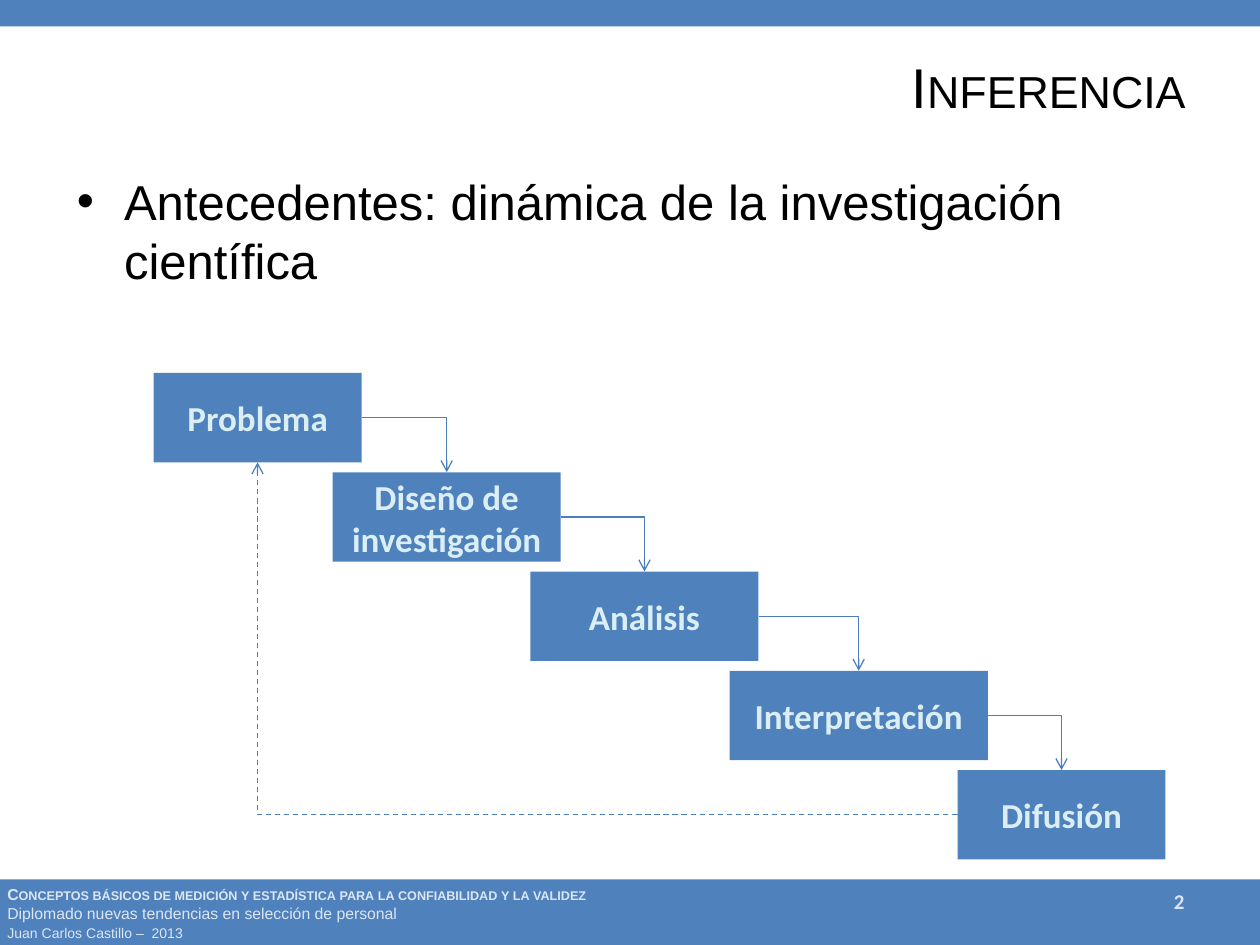
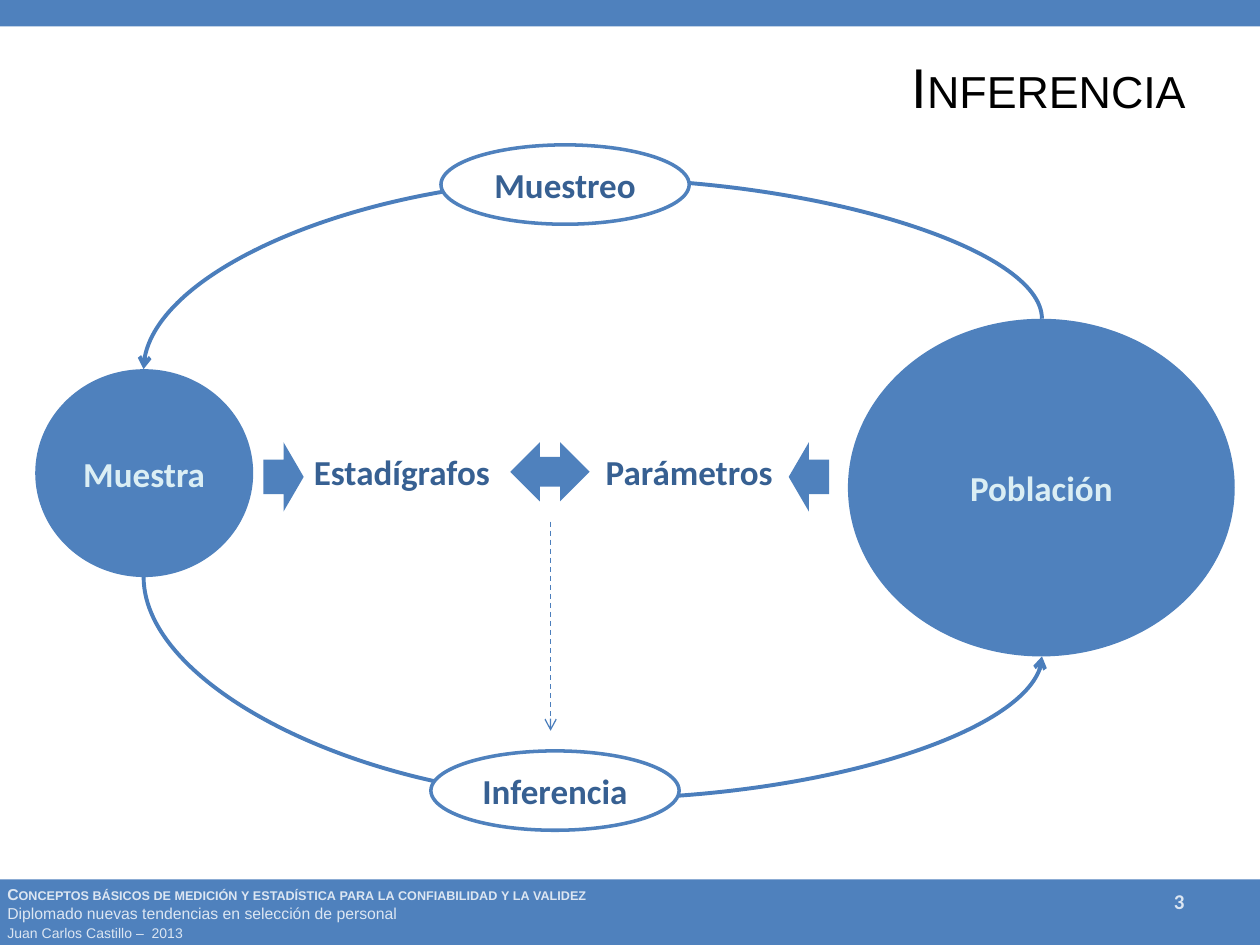
from lxml import etree
from pptx import Presentation
from pptx.dml.color import RGBColor
from pptx.enum.dml import MSO_LINE
from pptx.enum.shapes import MSO_CONNECTOR, MSO_SHAPE
from pptx.enum.text import MSO_ANCHOR, PP_ALIGN
from pptx.oxml.ns import qn
from pptx.util import Inches, Pt

RECTANGLE, ELLIPSE = MSO_SHAPE.RECTANGLE, MSO_SHAPE.OVAL
ARROW, DOUBLE_ARROW = MSO_SHAPE.RIGHT_ARROW, MSO_SHAPE.LEFT_RIGHT_ARROW
STRAIGHT, ELBOW, CURVE = MSO_CONNECTOR.STRAIGHT, MSO_CONNECTOR.ELBOW, MSO_CONNECTOR.CURVE
LEFT, CENTER, RIGHT = PP_ALIGN.LEFT, PP_ALIGN.CENTER, PP_ALIGN.RIGHT
TOP, MIDDLE = MSO_ANCHOR.TOP, MSO_ANCHOR.MIDDLE

BLUE = RGBColor(0x4F, 0x81, 0xBD)
LINK_BLUE = RGBColor(0x4B, 0x7E, 0xBC)
DARK_BLUE = RGBColor(0x37, 0x60, 0x92)
PALE_BLUE = RGBColor(0xDB, 0xEE, 0xF4)
FOOTER_BLUE = RGBColor(0xDC, 0xE6, 0xF2)
WHITE = RGBColor(0xFF, 0xFF, 0xFF)
BLACK = RGBColor(0, 0, 0)

deck = Presentation()
deck.slide_width, deck.slide_height = Inches(10), Inches(7.5)
CELL = deck.slide_width // 100  # the grid has 100 columns and 75 rows
TITLE_ONLY, TITLE_AND_BODY = deck.slide_layouts[5], deck.slide_layouts[1]


def add_block(page, preset, box, fill=None, text="", color=PALE_BLUE, outline=None):
    """Add a preset shape; box holds left, top, width and height in cells."""
    block = page.shapes.add_shape(preset, *(round(CELL * n) for n in box))
    block.shadow.inherit = False
    if fill is None:
        block.fill.background()
    else:
        block.fill.solid()
        block.fill.fore_color.rgb = fill
    if outline is None:
        block.line.fill.background()
    else:
        block.line.color.rgb = outline
        block.line.width = Pt(2)
    if text:
        block.text_frame.text = text
        block.text_frame.vertical_anchor = MIDDLE
        para = block.text_frame.paragraphs[0]
        para.alignment = CENTER
        para.font.name, para.font.size, para.font.bold = "Calibri", Pt(20), True
        para.font.color.rgb = color
    return block


def add_link(page, kind, begin, end, width=0.75, dashed=False, apex=None):
    """Add an arrow; a curve leaves and arrives vertically and turns at row apex."""
    ends = [begin, end]
    if kind == CURVE:
        # The frame is stored a quarter turn away from where it is drawn.
        middle_x, middle_y = (begin[0] + end[0]) / 2, (begin[1] + end[1]) / 2
        ends = [(middle_x + middle_y - y, middle_y + x - middle_x) for x, y in ends]
    link = page.shapes.add_connector(kind, *(round(CELL * n) for point in ends for n in point))
    link.line.color.rgb = LINK_BLUE
    link.line.width = Pt(width)
    if dashed:
        link.line.dash_style = MSO_LINE.DASH
    properties = link._element.spPr
    etree.SubElement(properties.find(qn("a:ln")), qn("a:tailEnd"), type="arrow")
    etree.SubElement(properties, qn("a:effectLst"))
    geometry = properties.find(qn("a:prstGeom"))
    if kind == ELBOW:
        geometry.set("prst", "bentConnector2")
    if kind == CURVE:
        properties.find(qn("a:xfrm")).set("rot", str(270 * 60000))
        turn = round(100000 * (apex - begin[1]) / (end[1] - begin[1]))
        guides = geometry.find(qn("a:avLst"))
        etree.SubElement(guides, qn("a:gd"), name="adj1", fmla=f"val {turn}")


# Shared frame: bands, footer, page number and title
FOOTER = [
    ((-0.4, 69.7, 51.2, 2.5), "Conceptos básicos de medición y estadística para la confiabilidad y la validez",
     "Arial", 9, True, True, LEFT, TOP),
    ((-0.4, 71.2, 46.1, 2.5), "Diplomado nuevas tendencias en selección de personal",
     "Arial", 9, False, False, LEFT, TOP),
    ((-0.4, 72.9, 26.8, 2.4), "Juan Carlos Castillo –  2013", "Arial", 8, False, False, LEFT, TOP),
]
process_page = deck.slides.add_slide(TITLE_AND_BODY)
cycle_page = deck.slides.add_slide(TITLE_ONLY)

for number, page in enumerate((process_page, cycle_page), start=2):
    add_block(page, RECTANGLE, (0, 69.8, 100, 5.2), BLUE)
    add_block(page, RECTANGLE, (0, 0, 100, 2.1), BLUE)
    page_number = ((71.7, 69.5, 23.3, 4), str(number), "Calibri", 12, True, False, RIGHT, MIDDLE)
    for box, text, font, size, bold, small_caps, alignment, anchor in FOOTER + [page_number]:
        frame = page.shapes.add_textbox(*(round(CELL * n) for n in box)).text_frame
        frame.word_wrap = True
        frame.vertical_anchor = anchor
        frame.text = text
        para = frame.paragraphs[0]
        para.alignment = alignment
        para.font.name, para.font.size, para.font.bold = font, Pt(size), bold
        para.font.color.rgb = FOOTER_BLUE
        if small_caps:
            para.runs[0]._r.get_or_add_rPr().set("cap", "small")

    title = page.shapes.title
    title.left, title.top, title.width, title.height = (round(CELL * n) for n in (5.1, 2.1, 90, 9.4))
    title.text_frame.text = "Inferencia"
    title.text_frame.vertical_anchor = MIDDLE
    para = title.text_frame.paragraphs[0]
    para.alignment = RIGHT
    para.font.name, para.font.size = "Arial", Pt(32)
    para.font.color.rgb = BLACK
    para.runs[0]._r.get_or_add_rPr().set("cap", "small")

# Research process: a staircase of steps with a way back to the problem
body = process_page.placeholders[1]
body.left, body.top, body.width, body.height = (round(CELL * n) for n in (5.1, 13.1, 90, 55.1))
body.text_frame.text = "Antecedentes: dinámica de la investigación científica"
para = body.text_frame.paragraphs[0]
para.font.name, para.font.size = "Arial", Pt(28)
para.font.color.rgb = BLACK

STEPS = [
    ("Problema", 12.2, 16.5),
    ("Diseño de investigación", 26.4, 18.1),
    ("Análisis", 42.1, 18.1),
    ("Interpretación", 57.9, 20.5),
    ("Difusión", 76, 16.5),
]
FIRST_ROW, STEP_DROP, STEP_HEIGHT = 29.6, 7.88, 7.1
boxes = []
for index, (name, left, width) in enumerate(STEPS):
    box = (left, FIRST_ROW + index * STEP_DROP, width, STEP_HEIGHT)
    add_block(process_page, RECTANGLE, box, BLUE, name)
    boxes.append(box)
for (left, top, width, height), (next_left, next_top, next_width, _) in zip(boxes, boxes[1:]):
    add_link(process_page, ELBOW, (left + width, top + height / 2), (next_left + next_width / 2, next_top))
problem, diffusion = boxes[0], boxes[-1]
add_link(process_page, ELBOW, (diffusion[0], diffusion[1] + STEP_HEIGHT / 2),
         (problem[0] + problem[2] / 2, problem[1] + STEP_HEIGHT), dashed=True)

# Inference cycle: from population to sample and back
SAMPLE_X, POPULATION_X = 11.4, 82.7
add_block(cycle_page, ELLIPSE, (2.8, 29.3, 17.3, 16.5), BLUE, "Muestra")
add_block(cycle_page, ELLIPSE, (67.3, 25.3, 30.7, 26.8), BLUE, "Población")
add_link(cycle_page, CURVE, (POPULATION_X, 25.3), (SAMPLE_X, 29.3), 2.25, apex=14.2)
add_link(cycle_page, CURVE, (SAMPLE_X, 45.8), (POPULATION_X, 52.1), 2.25, apex=63.4)
for name, left, top in (("Muestreo", 35, 11.5), ("Inferencia", 34.2, 59.6)):
    add_block(cycle_page, ELLIPSE, (left, top, 19.7, 6.3), WHITE, name, DARK_BLUE, BLUE)
for name, left in (("Estadígrafos", 20.1), ("Parámetros", 42.9)):
    add_block(cycle_page, ELLIPSE, (left, 34.3, 23.6, 6.3), None, name, DARK_BLUE)
add_block(cycle_page, ARROW, (20.9, 35.1, 3.2, 5.5), BLUE)
population_arrow = add_block(cycle_page, ARROW, (62.6, 35.1, 3.2, 5.5), BLUE)
population_arrow._element.spPr.find(qn("a:xfrm")).set("flipH", "1")
add_block(cycle_page, DOUBLE_ARROW, (40.5, 35.1, 6.3, 4.7), BLUE)
add_link(cycle_page, STRAIGHT, (43.7, 41.4), (43.7, 58), dashed=True)

deck.save("out.pptx")
